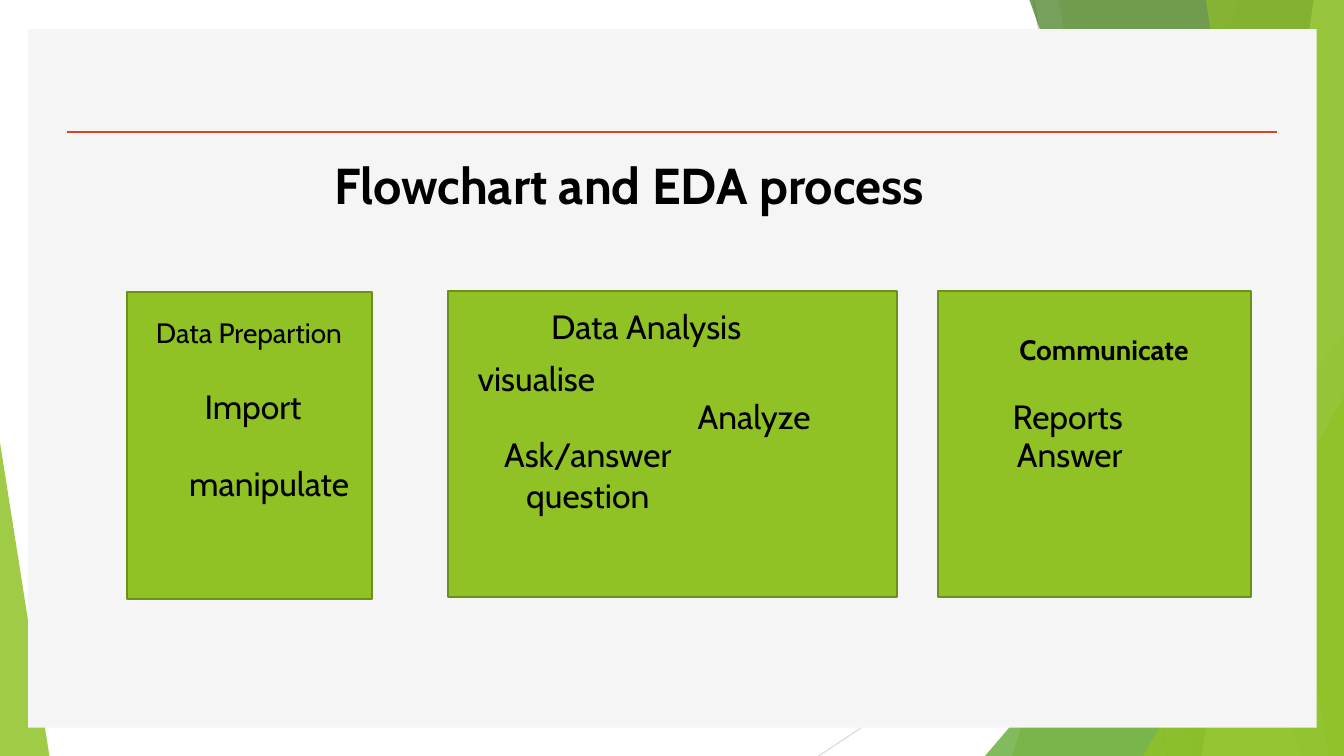
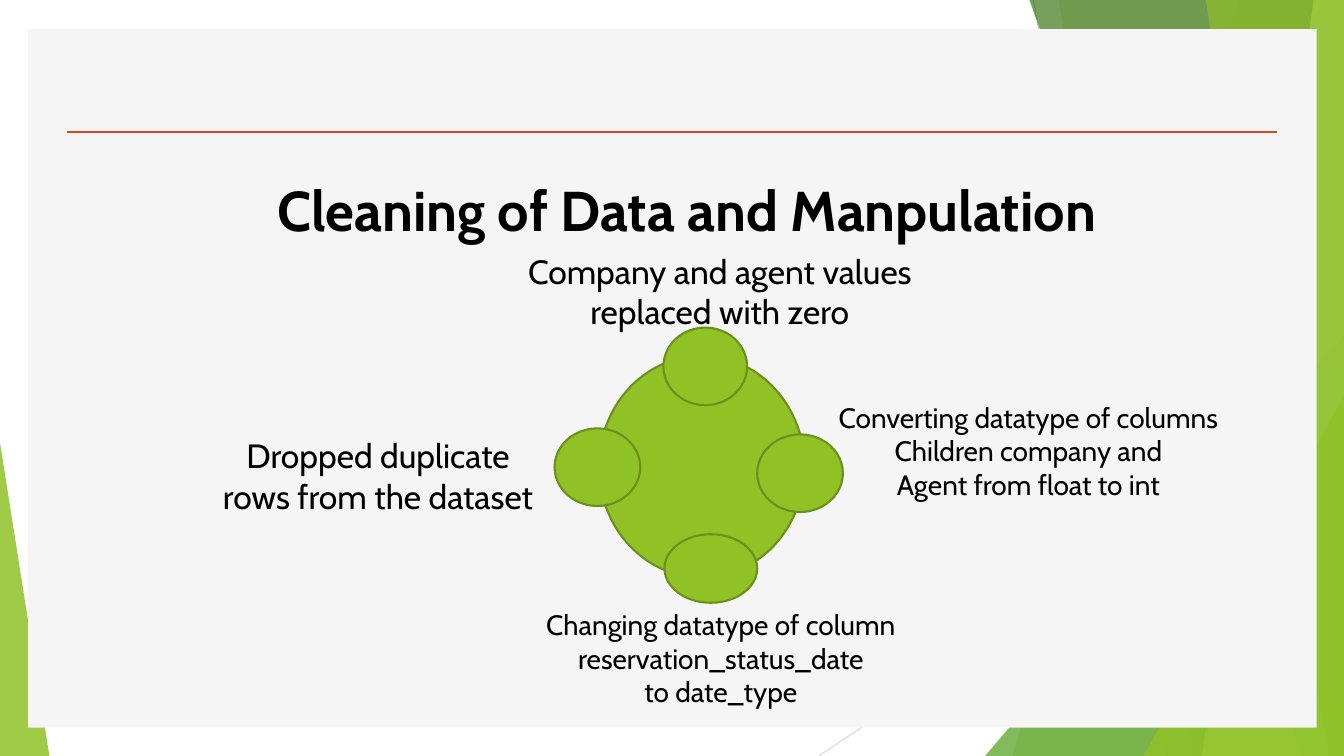
"""Build two slides on data preparation and cleaning with a shared green facet style."""
from dataclasses import dataclass

from lxml.etree import SubElement
from pptx import Presentation
from pptx.dml.color import RGBColor as RGB
from pptx.enum.shapes import MSO_CONNECTOR as CONN, MSO_SHAPE as SHAPE
from pptx.enum.text import MSO_AUTO_SIZE as FIT, PP_ALIGN as ALIGN
from pptx.oxml.ns import qn
from pptx.util import Inches, Pt


@dataclass(frozen=True)
class Theme:
    font: str = "Cabin"
    text: str = "000000"
    green: str = "90C226"
    edge: str = "6B901C"
    leaf: str = "54A021"
    forest: str = "3F7819"
    lime: str = "C0E474"
    panel: str = "F5F5F5"
    rule: str = "D24726"
    gray: str = "BFBFBF"
    pale: str = "D9D9D9"
    body: int = 24
    small: int = 20
    width: float = 13.33
    height: float = 7.5


class Deck:
    def __init__(self, theme):
        self.t = theme
        self.prs = Presentation()
        self.prs.slide_width = Inches(theme.width)
        self.prs.slide_height = Inches(theme.height)
        self.s = None

    def slide(self):
        self.s = self.prs.slides.add_slide(self.prs.slide_layouts[6])
        self.backdrop()

    def paint(self, sp, fill, alpha=100, edge=None):
        sp.shadow.inherit = False
        sp.fill.solid()
        sp.fill.fore_color.rgb = RGB.from_string(fill)
        if alpha < 100:
            color = sp.element.spPr.find(qn("a:solidFill"))[0]
            SubElement(color, qn("a:alpha")).set("val", str(alpha * 1000))
        if edge:
            sp.line.color.rgb = RGB.from_string(edge)
            sp.line.width = Pt(1.5)
        else:
            sp.line.fill.background()

    def shape(self, kind, at, fill, alpha=100, edge=None):
        sp = self.s.shapes.add_shape(kind, *map(Inches, at))
        self.paint(sp, fill, alpha, edge)
        return sp

    def node(self, kind, *at):
        self.shape(kind, at, self.t.green, edge=self.t.edge)

    def wedge(self, left, top, width, apex, fill, alpha):
        at = left, top, width, self.t.height - top
        sp = self.shape(SHAPE.ISOSCELES_TRIANGLE, at, fill, alpha)
        sp.adjustments[0] = apex

    def band(self, top_x, bottom_x, fill, alpha):
        w, h = self.t.width, self.t.height
        fb = self.s.shapes.build_freeform(Inches(top_x), 0)
        corners = [(w, 0), (w, h), (bottom_x, h)]
        fb.add_line_segments([(Inches(x), Inches(y)) for x, y in corners])
        self.paint(fb.convert_to_shape(), fill, alpha)

    def line(self, x1, y1, x2, y2, color, width=0.75):
        cn = self.s.shapes.add_connector(CONN.STRAIGHT, *map(Inches, (x1, y1, x2, y2)))
        cn.line.color.rgb = RGB.from_string(color)
        cn.line.width = Pt(width)
        SubElement(cn.element.spPr, qn("a:effectLst"))

    def text(self, lines, center, top, width, size=None, bold=False):
        size = size or self.t.body
        height = 0.1 + len(lines) * size / 60
        at = center - width / 2, top, width, height
        tb = self.s.shapes.add_textbox(*map(Inches, at))
        tf = tb.text_frame
        tf.word_wrap = True
        tf.auto_size = FIT.SHAPE_TO_FIT_TEXT
        for i, line in enumerate(lines):
            p = tf.add_paragraph() if i else tf.paragraphs[0]
            p.alignment = ALIGN.CENTER
            r = p.add_run()
            r.text = line
            r.font.name = self.t.font
            r.font.size = Pt(size)
            r.font.bold = bold
            r.font.color.rgb = RGB.from_string(self.t.text)

    def title(self, line, center, top, size):
        self.text([line], center, top, 10.7, size, bold=True)

    def backdrop(self):
        t = self.t
        self.line(10.25, 0, 11.58, t.height, t.gray)
        self.line(t.width, 4.03, 8.12, t.height, t.pale)
        self.band(12.28, 10.04, t.green, 30)
        self.band(10.5, 11.83, t.green, 20)
        self.wedge(9.77, 3.33, 3.56, 1, t.leaf, 72)
        self.band(10.21, 12.91, t.forest, 70)
        self.band(13.03, 11.92, t.lime, 70)
        self.band(11.96, 13.18, t.green, 65)
        self.wedge(11.34, 3.93, 1.99, 1, t.green, 80)
        self.wedge(0, 4.39, 0.49, 0, t.green, 85)
        self.shape(SHAPE.RECTANGLE, (0.28, 0.29, 12.78, 6.93), t.panel)
        self.line(0.66, 1.31, 12.67, 1.31, t.rule, 2)


def flowchart(d):
    small = d.t.small
    d.slide()
    d.title("Flowchart and EDA process", 6.24, 1.48, 36)
    for left, top, width, height in [
        (4.44, 2.89, 4.46, 3.03),
        (1.26, 2.9, 2.43, 3.04),
        (9.3, 2.89, 3.11, 3.03),
    ]:
        d.node(SHAPE.RECTANGLE, left, top, width, height)
    d.text(["Data Analysis"], 6.41, 2.99, 2.7)
    d.text(["visualise"], 5.32, 3.5, 2.4)
    d.text(["Analyze"], 7.48, 3.88, 2.4)
    d.text(["Ask/answer", "question"], 5.83, 4.26, 2.4)
    d.text(["Communicate"], 10.95, 3.25, 2.4, small, bold=True)
    d.text(["Reports"], 10.59, 3.88, 1.86)
    d.text(["Answer"], 10.61, 4.26, 1.86)
    d.text(["Data Prepartion"], 2.47, 3.08, 2.4, small)
    d.text(["Import"], 2.51, 3.78, 2.4)
    d.text(["manipulate"], 2.67, 4.54, 2.4)


def cleaning(d):
    small = d.t.small
    d.slide()
    d.title("Cleaning of Data and Manpulation", 6.81, 1.69, 40)
    for left, top, width, height in [
        (5.94, 3.53, 2.04, 2.2),
        (6.58, 3.25, 0.83, 0.77),
        (7.51, 4.31, 0.85, 0.77),
        (5.5, 4.25, 0.85, 0.77),
        (6.59, 5.3, 0.92, 0.68),
    ]:
        d.node(SHAPE.OVAL, left, top, width, height)
    d.text(["Company and agent values", "replaced with zero"], 7.14, 2.44, 5)
    d.text(["Converting datatype of columns", "Children company and",
            "Agent from float to int"], 10.2, 3.92, 4.95, small)
    d.text(["Dropped duplicate", "rows from the dataset"], 3.75, 4.27, 3.7)
    d.text(["Changing datatype of column", "reservation_status_date",
            "to date_type"], 7.15, 5.98, 5, small)


def main():
    d = Deck(Theme())
    flowchart(d)
    cleaning(d)
    d.prs.save("out.pptx")


if __name__ == "__main__":
    main()
